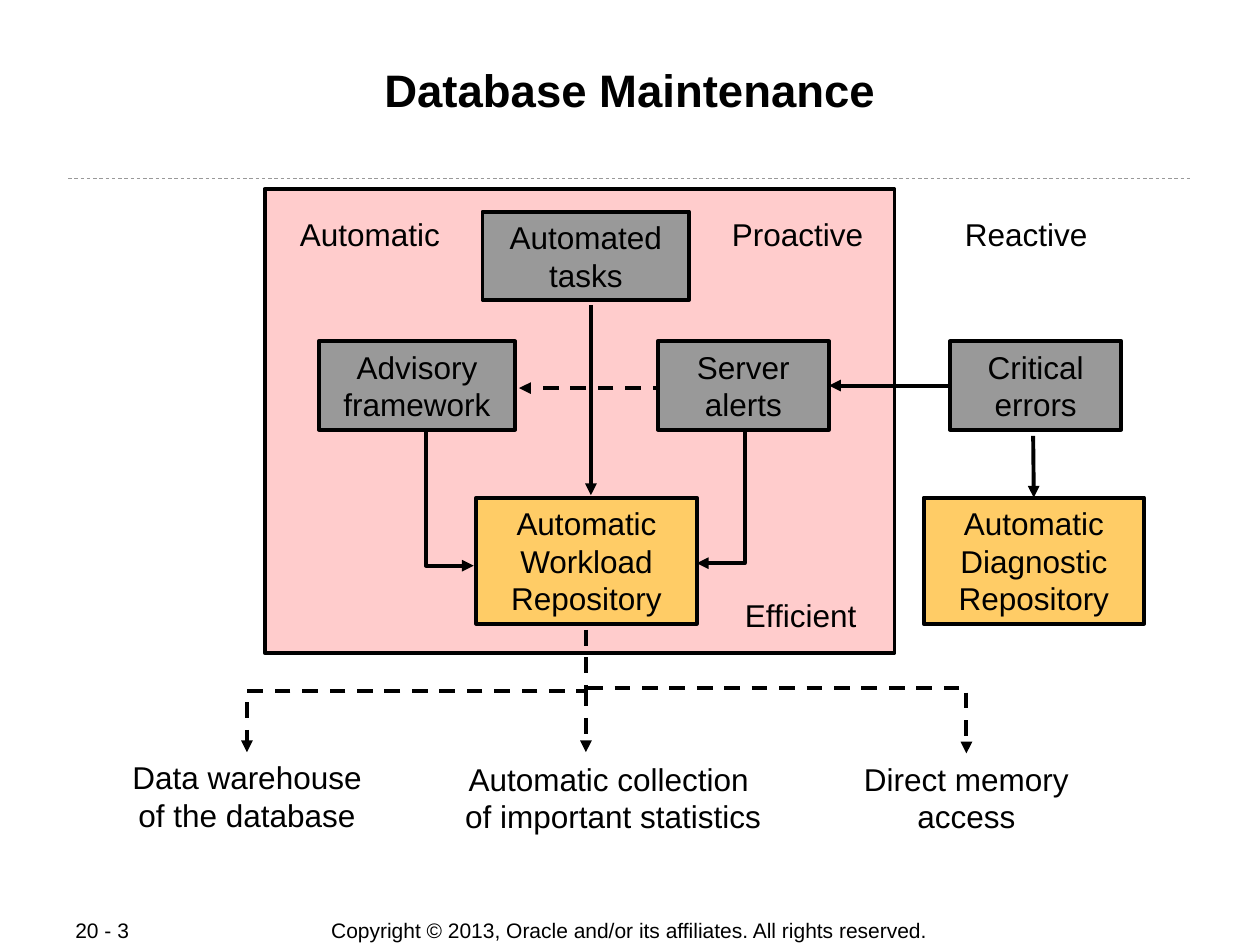
from dataclasses import dataclass

from lxml.etree import SubElement
from pptx import Presentation
from pptx.dml.color import RGBColor
from pptx.enum.dml import MSO_LINE
from pptx.enum.shapes import MSO_CONNECTOR, MSO_SHAPE
from pptx.enum.text import MSO_ANCHOR, MSO_AUTO_SIZE, PP_ALIGN
from pptx.oxml.ns import qn
from pptx.util import Inches, Pt


@dataclass(frozen=True)
class Theme:
    font: str = "Arial"
    ink: str = "000000"
    rule: str = "999999"
    panel: str = "FFCCCC"
    process: str = "999999"
    repository: str = "FFCC66"
    title_size: float = 26
    body_size: float = 18
    footer_size: float = 12
    line_width: float = 2.25
    rule_width: float = 0.5


@dataclass(frozen=True)
class Block:
    lines: tuple
    left: float
    top: float
    width: float
    height: float
    fill: str


@dataclass(frozen=True)
class Label:
    lines: tuple
    left: float
    top: float
    width: float
    height: float = 0.4
    size: float = 18
    wrap: bool = False
    align: PP_ALIGN = PP_ALIGN.CENTER
    anchor: MSO_ANCHOR = MSO_ANCHOR.TOP


THEME = Theme()

PANEL = Block((), 2.1, 1.5, 5, 3.68, THEME.panel)
BLOCKS = {
    "workload": Block(("Automatic", "Workload Repository"), 3.78, 3.95, 1.75, 1, THEME.repository),
    "advisory": Block(("Advisory", "framework"), 2.53, 2.71, 1.56, 0.7, THEME.process),
    "tasks": Block(("Automated", "tasks"), 3.83, 1.68, 1.64, 0.7, THEME.process),
    "alerts": Block(("Server alerts",), 5.22, 2.71, 1.36, 0.7, THEME.process),
    "diagnostic": Block(("Automatic", "Diagnostic Repository"), 7.33, 3.95, 1.75, 1, THEME.repository),
    "errors": Block(("Critical errors",), 7.54, 2.71, 1.36, 0.7, THEME.process),
}
LABELS = (
    Label(("Automatic",), 2.21, 1.66, 1.45),
    Label(("Proactive",), 5.71, 1.66, 1.24),
    Label(("Reactive",), 7.56, 1.66, 1.17),
    Label(("Efficient",), 5.81, 4.68, 1.09),
    Label(("Data warehouse", "of the database"), 0.95, 5.97, 2.02, 0.7),
    Label(("Automatic collection ", "of important statistics"), 3.59, 5.98, 2.55, 0.7),
    Label(("Direct memory", "access"), 6.76, 5.98, 1.82, 0.7),
    Label(("Copyright © 2013, Oracle and/or its affiliates. All rights reserved.",),
          2.75, 7.28, 4.49, 0.21, THEME.footer_size, anchor=MSO_ANCHOR.MIDDLE),
    Label(("20 - 3",), 0.5, 7.28, 1.06, 0.2, THEME.footer_size, True,
          PP_ALIGN.LEFT, MSO_ANCHOR.MIDDLE),
)


def write(box, lines: tuple, size: float, wrap: bool = True, align=PP_ALIGN.CENTER,
          anchor=MSO_ANCHOR.TOP, bold: bool = False) -> None:
    frame = box.text_frame
    frame.word_wrap = wrap
    frame.auto_size = MSO_AUTO_SIZE.NONE
    frame.vertical_anchor = anchor
    para = frame.paragraphs[0]
    para.alignment = align
    para.space_before = Pt(0)
    for index, line in enumerate(lines):
        if index:
            para.add_line_break()
        span = para.add_run()
        span.text = line
        span.font.name = THEME.font
        span.font.size = Pt(size)
        span.font.bold = bold
        span.font.color.rgb = RGBColor.from_string(THEME.ink)


def style_line(shape, color: str = THEME.ink, width: float = THEME.line_width,
               dashed: bool = False, arrow: bool = False) -> None:
    shape.line.color.rgb = RGBColor.from_string(color)
    shape.line.width = Pt(width)
    if dashed:
        shape.line.dash_style = MSO_LINE.DASH
    if arrow:
        line = shape._element.spPr.get_or_add_ln()
        SubElement(line, qn("a:tailEnd")).set("type", "triangle")


def draw_block(page, block: Block):
    box = page.shapes.add_shape(MSO_SHAPE.RECTANGLE, Inches(block.left), Inches(block.top),
                                Inches(block.width), Inches(block.height))
    box.shadow.inherit = False
    box.fill.solid()
    box.fill.fore_color.rgb = RGBColor.from_string(block.fill)
    style_line(box)
    if block.lines:
        write(box, block.lines, THEME.body_size)
    return box


def draw_label(page, label: Label) -> None:
    box = page.shapes.add_textbox(Inches(label.left), Inches(label.top),
                                  Inches(label.width), Inches(label.height))
    write(box, label.lines, label.size, label.wrap, label.align, label.anchor)


def draw_connector(page, start: tuple, end: tuple, kind=MSO_CONNECTOR.STRAIGHT, **style):
    connector = page.shapes.add_connector(kind, *map(Inches, start + end))
    style_line(connector, **style)
    SubElement(connector._element.spPr, qn("a:effectLst"))
    return connector


def draw_corner(page, points: tuple) -> None:
    start, *others = [(Inches(x), Inches(y)) for x, y in points]
    builder = page.shapes.build_freeform(*start)
    builder.add_line_segments(others, close=False)
    corner = builder.convert_to_shape()
    corner.shadow.inherit = False
    corner.fill.background()
    style_line(corner, arrow=True)


def draw_down_left_elbow(page, start: tuple, end: tuple) -> None:
    """Leave downwards: an elbow turned a quarter about its centre."""
    center_x, center_y = (start[0] + end[0]) / 2, (start[1] + end[1]) / 2
    half_run, half_drop = (start[0] - end[0]) / 2, (end[1] - start[1]) / 2
    elbow = draw_connector(page, (center_x - half_drop, center_y - half_run),
                           (center_x + half_drop, center_y + half_run),
                           MSO_CONNECTOR.ELBOW, dashed=True, arrow=True)
    elbow._element.spPr.find(qn("a:xfrm")).set("rot", str(90 * 60000))


def main() -> None:
    deck = Presentation()
    deck.slide_width, deck.slide_height = Inches(10), Inches(7.5)
    page = deck.slides.add_slide(deck.slide_layouts[5])

    # Title and the rule below it
    title = page.shapes.title
    title.left, title.top, title.width, title.height = map(Inches, (0.67, 0.48, 8.66, 0.96))
    frame = title.text_frame
    frame.margin_left = frame.margin_right = frame.margin_top = frame.margin_bottom = Inches(0.01)
    write(title, ("Database Maintenance",), THEME.title_size, bold=True)
    draw_connector(page, (0.54, 1.42), (9.46, 1.42), color=THEME.rule,
                   width=THEME.rule_width, dashed=True)

    # Panel, with the advice arrow running behind the blocks
    draw_block(page, PANEL)
    draw_connector(page, (5.74, 3.08), (4.12, 3.08), dashed=True, arrow=True)
    boxes = {name: draw_block(page, block) for name, block in BLOCKS.items()}

    # Flows into the repositories
    draw_connector(page, (4.69, 2.42), (4.69, 3.93), arrow=True)
    draw_corner(page, ((3.38, 3.43), (3.38, 4.49), (3.76, 4.49)))
    draw_corner(page, ((5.91, 3.42), (5.91, 4.47), (5.53, 4.47)))
    diagnosis = draw_connector(page, (8.2, 3.46), (8.2, 3.94), arrow=True)
    diagnosis.end_connect(boxes["diagnostic"], 0)
    alert = draw_connector(page, (7.54, 3.06), (6.58, 3.06), arrow=True)
    alert.begin_connect(boxes["errors"], 1)
    alert.end_connect(boxes["alerts"], 3)

    # Flows out of the workload repository
    draw_down_left_elbow(page, (4.65, 5), (1.96, 5.97))
    memory = draw_connector(page, (4.66, 5.46), (7.67, 5.98), MSO_CONNECTOR.ELBOW,
                            dashed=True, arrow=True)
    memory._element.spPr.find(qn("a:prstGeom")).set("prst", "bentConnector2")
    draw_connector(page, (4.65, 5.48), (4.65, 5.97), dashed=True, arrow=True)

    # Labels and footer
    for label in LABELS:
        draw_label(page, label)

    deck.save("out.pptx")


if __name__ == "__main__":
    main()
